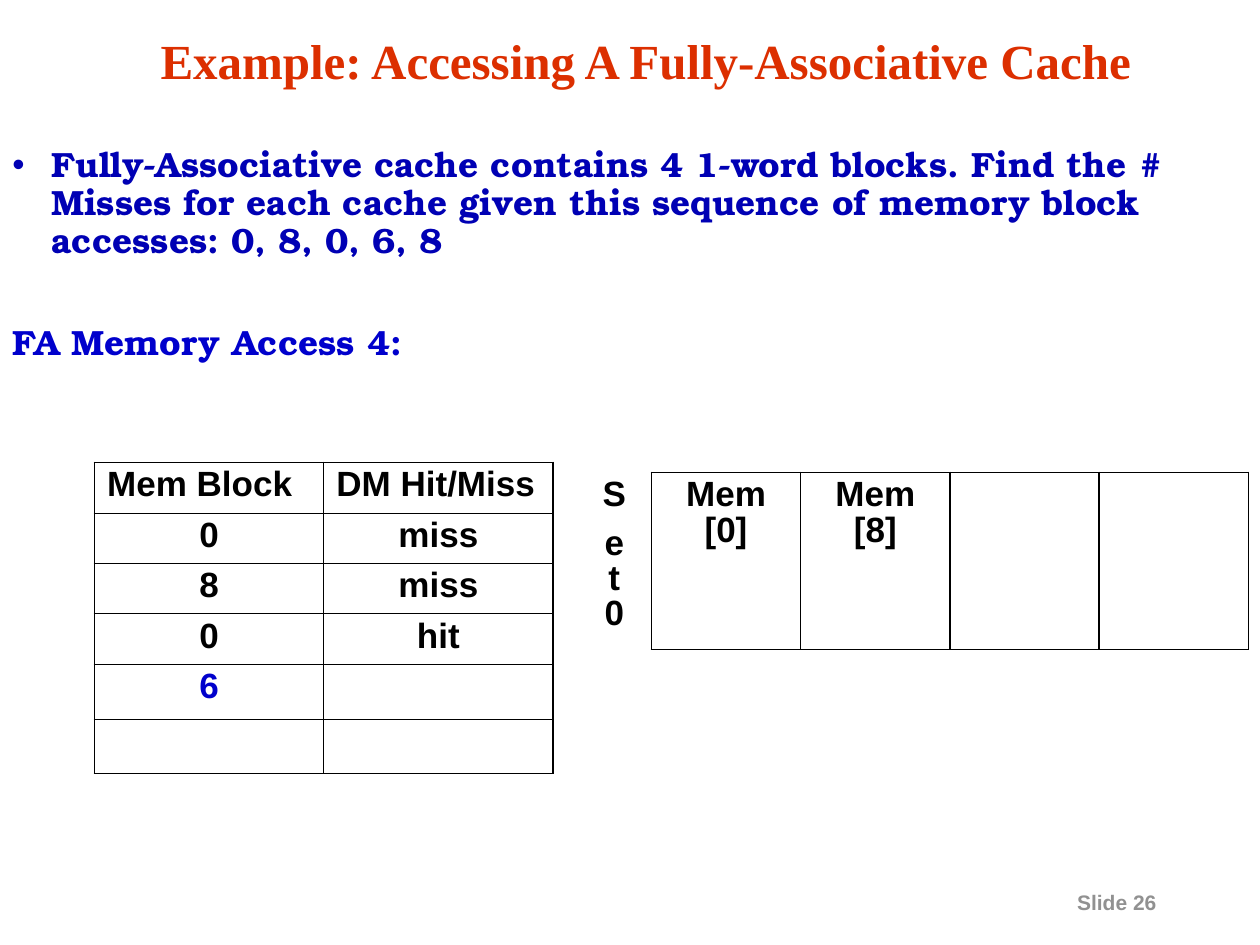
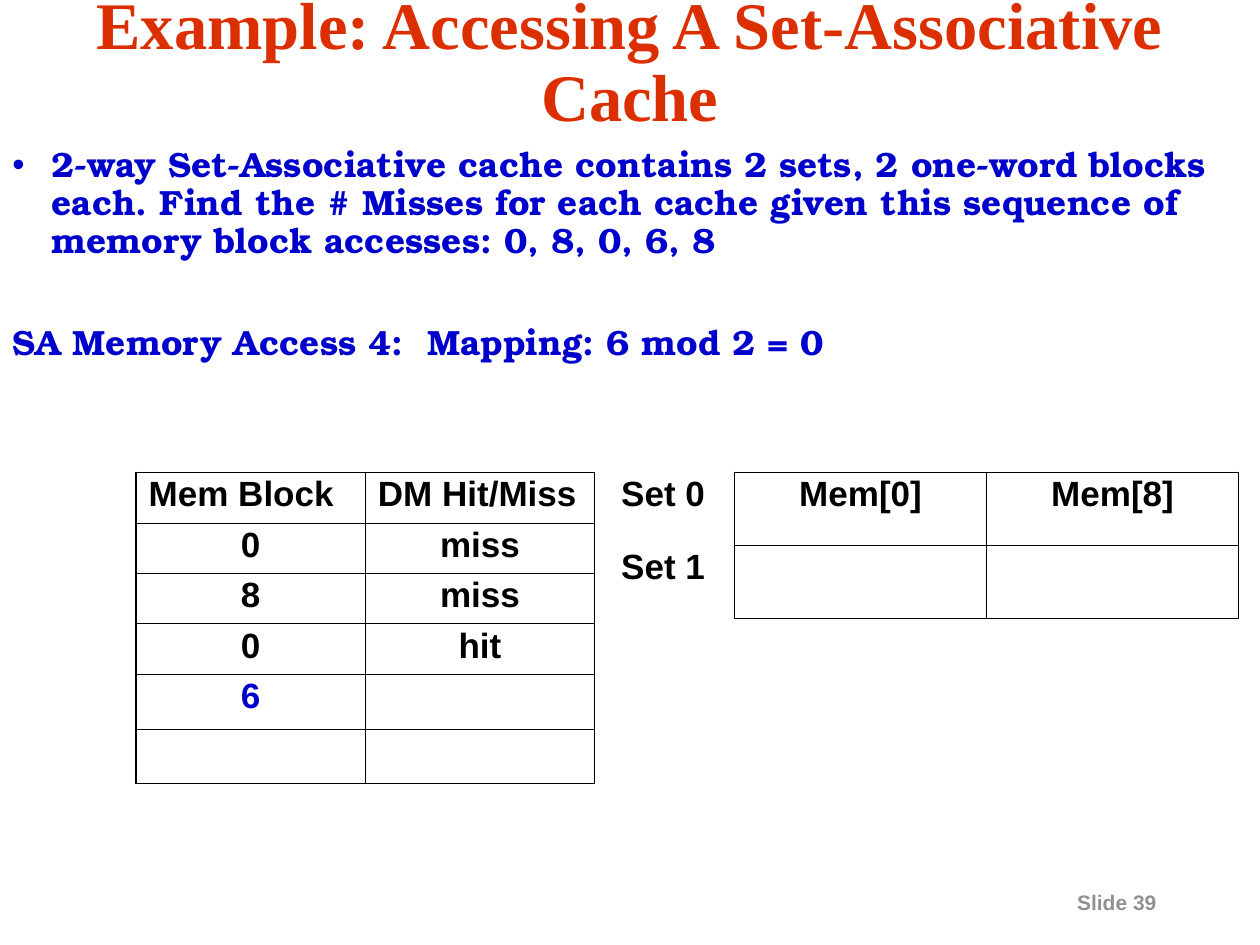
from lxml.etree import SubElement
from pptx import Presentation
from pptx.dml.color import RGBColor
from pptx.enum.text import MSO_ANCHOR as Anchor, PP_ALIGN as Align
from pptx.oxml.ns import qn
from pptx.util import Inches, Pt

COLORS = {
    "title": "DC2F00",
    "navy": "0000B4",
    "blue": "0000CC",
    "footer": "919191",
    "ink": "000000",
}
TITLE_FONT, BODY_FONT, TABLE_FONT = "Times New Roman", "TeX Gyre Bonum", "Arial"
THICK, THIN = 1.08, 0.45
NO_STYLE = "{2D5ABB26-0587-4C30-8999-92F81FD0307C}"
ACCESS_ROWS = [
    ("Mem Block", "DM Hit/Miss"),
    ("0", "miss"),
    ("8", "miss"),
    ("0", "hit"),
    ("6", ""),
    ("", ""),
]


def style_paragraph(paragraph, font, size, color, align=Align.LEFT, spacing=0.9):
    paragraph.alignment = align
    paragraph.line_spacing = spacing
    paragraph.font.name = font
    paragraph.font.size = Pt(size)
    paragraph.font.bold = True
    paragraph.font.color.rgb = RGBColor.from_string(COLORS[color])


def add_text_frame(slide, box, wrap=True):
    frame = slide.shapes.add_textbox(*map(Inches, box)).text_frame
    frame.word_wrap = wrap
    return frame


def add_title(slide, box, text, size):
    frame = add_text_frame(slide, box)
    frame.vertical_anchor = Anchor.MIDDLE
    frame.text = text
    style_paragraph(frame.paragraphs[0], TITLE_FONT, size, "title", Align.CENTER)


def add_footer(slide, number):
    frame = add_text_frame(slide, (8.45, 7.01, 1.45, 0.3), wrap=False)
    frame.text = f"Slide {number}"
    style_paragraph(frame.paragraphs[0], TABLE_FONT, 12, "footer", spacing=1.0)


def add_bullet(paragraph, color):
    properties = paragraph._p.get_or_add_pPr()
    properties.set("marL", str(Inches(0.31)))
    properties.set("indent", str(Inches(-0.31)))
    bullet_color = SubElement(properties, qn("a:buClr"))
    SubElement(bullet_color, qn("a:srgbClr"), val=COLORS[color])
    SubElement(properties, qn("a:buFont"), typeface="Arial")
    SubElement(properties, qn("a:buChar"), char="•")


def add_body(slide, box, problem, problem_color, access):
    frame = add_text_frame(slide, box)
    frame.text = problem
    problem_paragraph = frame.paragraphs[0]
    add_bullet(problem_paragraph, problem_color)
    style_paragraph(problem_paragraph, BODY_FONT, 20, problem_color)
    access_paragraph = frame.add_paragraph()
    access_paragraph.text = access
    access_paragraph.space_before = Pt(36.7)
    style_paragraph(access_paragraph, BODY_FONT, 20, "blue")


def set_borders(cell, widths):
    properties = cell._tc.get_or_add_tcPr()
    for index, (side, width) in enumerate(zip("LRTB", widths)):
        line = SubElement(properties, qn(f"a:ln{side}"), w=str(Pt(width)))
        properties.remove(line)
        properties.insert(index, line)
        if width:
            fill = SubElement(line, qn("a:solidFill"))
            SubElement(fill, qn("a:srgbClr"), val=COLORS["ink"])
        else:
            SubElement(line, qn("a:noFill"))


def fill_cell(cell, text, align, color="ink"):
    cell.fill.background()
    cell.text = text
    for index, paragraph in enumerate(cell.text_frame.paragraphs):
        if index:
            paragraph.space_before = Pt(7.5)
        style_paragraph(paragraph, TABLE_FONT, 20, color, align)


def add_grid(slide, left, top, column_widths, row_heights):
    size = (left, top, sum(column_widths), sum(row_heights))
    frame = slide.shapes.add_table(
        len(row_heights), len(column_widths), *map(Inches, size))
    table = frame.table
    table.first_row = table.horz_banding = False
    table._tbl.tblPr.find(qn("a:tableStyleId")).text = NO_STYLE
    for column, width in zip(table.columns, column_widths):
        column.width = Inches(width)
    for row, height in zip(table.rows, row_heights):
        row.height = Inches(height)
    return table


def add_access_table(slide, left, top):
    table = add_grid(slide, left, top, [1.82] * 2, [0.4] * 4 + [0.43] * 2)
    last = len(ACCESS_ROWS) - 1
    for row, texts in enumerate(ACCESS_ROWS):
        for column, text in enumerate(texts):
            cell = table.cell(row, column)
            fill_cell(cell, text, Align.CENTER if row else Align.LEFT,
                      "blue" if text == "6" else "ink")
            set_borders(cell, (THIN if column else THICK,
                               THICK if column else THIN,
                               THIN if row else THICK,
                               THICK if row == last else THIN))


def add_cache_table(slide, left, top, column_widths, row_height, sets, label_align):
    table = add_grid(slide, left, top, column_widths, [row_height] * len(sets))
    last = len(sets) - 1
    for row, texts in enumerate(sets):
        for column, text in enumerate(texts):
            cell = table.cell(row, column)
            fill_cell(cell, text, Align.CENTER if column else label_align)
            if column:
                set_borders(cell, (THICK, THICK, THIN if row else THICK,
                                   THICK if row == last else THIN))
            else:
                set_borders(cell, (0, THICK, 0, 0))


def add_cache_slide(presentation, number, title, body, access_at, cache):
    slide = presentation.slides.add_slide(presentation.slide_layouts[6])
    add_footer(slide, number)
    add_title(slide, *title)
    add_body(slide, *body)
    add_cache_table(slide, *cache)
    add_access_table(slide, *access_at)


def main():
    presentation = Presentation()
    presentation.slide_width, presentation.slide_height = Inches(10), Inches(7.5)
    add_cache_slide(
        presentation, 26,
        title=((0.25, 0.17, 9.75, 0.67),
               "Example: Accessing A Fully-Associative Cache", 28),
        body=((0, 1.12, 9.58, 2.63),
              "Fully-Associative cache contains 4 1-word blocks. Find the # Misses "
              "for each cache given this sequence of memory block accesses: "
              "0, 8, 0, 6, 8", "navy", "FA Memory Access 4:"),
        access_at=(0.75, 3.67),
        cache=(4.58, 3.75, [0.59] + [1.185] * 4, 1.4,
               [("S\ne\vt\v0", "Mem [0]", "Mem [8]", "", "")], Align.CENTER))
    add_cache_slide(
        presentation, 39,
        title=((0, 0.17, 10, 0.67),
               "Example: Accessing A Set-Associative Cache", 38),
        body=((0, 1.12, 10, 2.63),
              "2-way Set-Associative cache contains 2 sets, 2 one-word blocks each. "
              "Find the # Misses for each cache given this sequence of memory block "
              "accesses: 0, 8, 0, 6, 8", "blue",
              "SA Memory Access 4:  Mapping: 6 mod 2 = 0"),
        access_at=(1.08, 3.75),
        cache=(4.83, 3.75, [1, 2, 2], 0.58,
               [("Set 0", "Mem[0]", "Mem[8]"), ("Set 1", "", "")], Align.LEFT))
    presentation.save("out.pptx")


if __name__ == "__main__":
    main()
